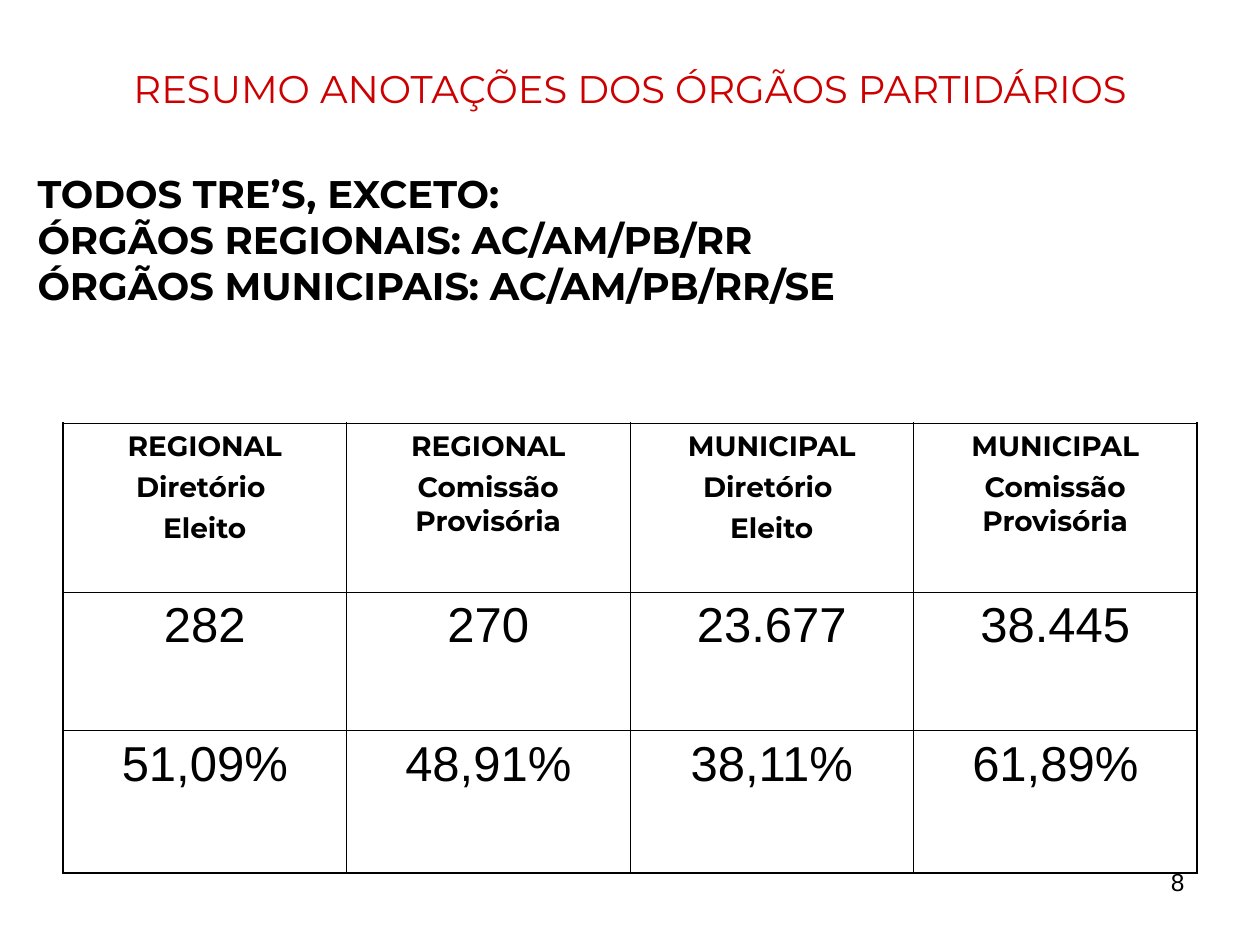
from lxml.etree import SubElement
from pptx import Presentation
from pptx.dml.color import RGBColor
from pptx.enum.text import MSO_ANCHOR as Anchor, MSO_AUTO_SIZE as AutoSize, PP_ALIGN as Align
from pptx.oxml.ns import qn
from pptx.util import Inches, Pt

COLORS = {"title": "CC0000", "text": "000000", "border": "000000"}
OUTER, INNER = Pt(1.08), Pt(0.45)

TITLE_FONT = {"name": "Montserrat", "size": Pt(22), "bold": False}
SCOPE_FONT = {"name": "Montserrat", "size": Pt(22), "bold": True}
HEADING_FONT = {"name": "Montserrat", "size": Pt(16), "bold": True}
VALUE_FONT = {"name": "Arial", "size": Pt(28), "bold": False}
NUMBER_FONT = {"name": "Arial", "size": Pt(14), "bold": False}

SCOPE = [
    "TODOS TRE’S, EXCETO:",
    "ÓRGÃOS REGIONAIS: AC/AM/PB/RR",
    "ÓRGÃOS MUNICIPAIS: AC/AM/PB/RR/SE",
]
ELECTED = ["Diretório ", "Eleito"]
PROVISIONAL = ["Comissão Provisória"]
HEADINGS = [[level, *body] for level in ("REGIONAL", "MUNICIPAL")
            for body in (ELECTED, PROVISIONAL)]
COUNTS = [["282"], ["270"], ["23.677"], ["38.445"]]
SHARES = [["51,09%"], ["48,91%"], ["38,11%"], ["61,89%"]]
ROWS = [
    (1.34, HEADINGS, HEADING_FONT, 4),
    (1.10, COUNTS, VALUE_FONT, 7),
    (1.13, SHARES, VALUE_FONT, 7),
]


def set_values(target, values):
    for name, value in values.items():
        setattr(target, name, value)


def write_lines(frame, lines, font, align, color="text", space=0):
    for index, line in enumerate(lines):
        paragraph = frame.paragraphs[0] if index == 0 else frame.add_paragraph()
        set_values(paragraph, {"alignment": align, "space_before": Pt(space)})
        run = paragraph.add_run()
        run.text = line
        set_values(run.font, font)
        run.font.color.rgb = RGBColor.from_string(COLORS[color])


def add_title(slide, text):
    title = slide.shapes.title
    set_values(title, {"left": Inches(0.5), "top": Inches(0.3),
                       "width": Inches(9), "height": Inches(1.25)})
    set_values(title.text_frame, {
        "word_wrap": True, "auto_size": AutoSize.NONE,
        "vertical_anchor": Anchor.MIDDLE, "margin_bottom": Inches(0.5)})
    write_lines(title.text_frame, [text], TITLE_FONT, Align.CENTER, "title")


def add_text(slide, box, lines, font, align, margin_top=0.05):
    frame = slide.shapes.add_textbox(*map(Inches, box)).text_frame
    set_values(frame, {"word_wrap": True, "margin_top": Inches(margin_top)})
    write_lines(frame, lines, font, align)


def set_borders(cell, widths):
    properties = cell._tc.get_or_add_tcPr()
    for position, (side, width) in enumerate(widths.items()):
        line = SubElement(properties, qn(f"a:ln{side}"), w=str(width))
        fill = SubElement(line, qn("a:solidFill"))
        SubElement(fill, qn("a:srgbClr"), val=COLORS["border"])
        properties.insert(position, line)


def add_summary(slide):
    last_row, last_column = len(ROWS) - 1, len(HEADINGS) - 1
    height = sum(row[0] for row in ROWS)
    table = slide.shapes.add_table(
        len(ROWS), len(HEADINGS),
        Inches(0.5), Inches(3.36), Inches(9), Inches(height)).table
    set_values(table, {"first_row": False, "horz_banding": False})
    for r, (row_height, entries, font, space) in enumerate(ROWS):
        table.rows[r].height = Inches(row_height)
        for c, lines in enumerate(entries):
            cell = table.cell(r, c)
            cell.fill.background()
            write_lines(cell.text_frame, lines, font, Align.CENTER, space=space)
            set_borders(cell, {
                "L": OUTER if c == 0 else INNER,
                "R": OUTER if c == last_column else INNER,
                "T": OUTER if r == 0 else INNER,
                "B": OUTER if r == last_row else INNER})


def main():
    deck = Presentation()
    set_values(deck, {"slide_width": Inches(10), "slide_height": Inches(7.5)})
    slide = deck.slides.add_slide(deck.slide_layouts.get_by_name("Title Only"))
    add_title(slide, "RESUMO ANOTAÇÕES DOS ÓRGÃOS PARTIDÁRIOS")
    add_text(slide, (0.2, 0.99, 9.61, 2.1), SCOPE, SCOPE_FONT, Align.LEFT, 0.36)
    add_summary(slide)
    add_text(slide, (7.17, 6.83, 2.33, 0.52), ["8"], NUMBER_FONT, Align.RIGHT)
    deck.save("out.pptx")


if __name__ == "__main__":
    main()
